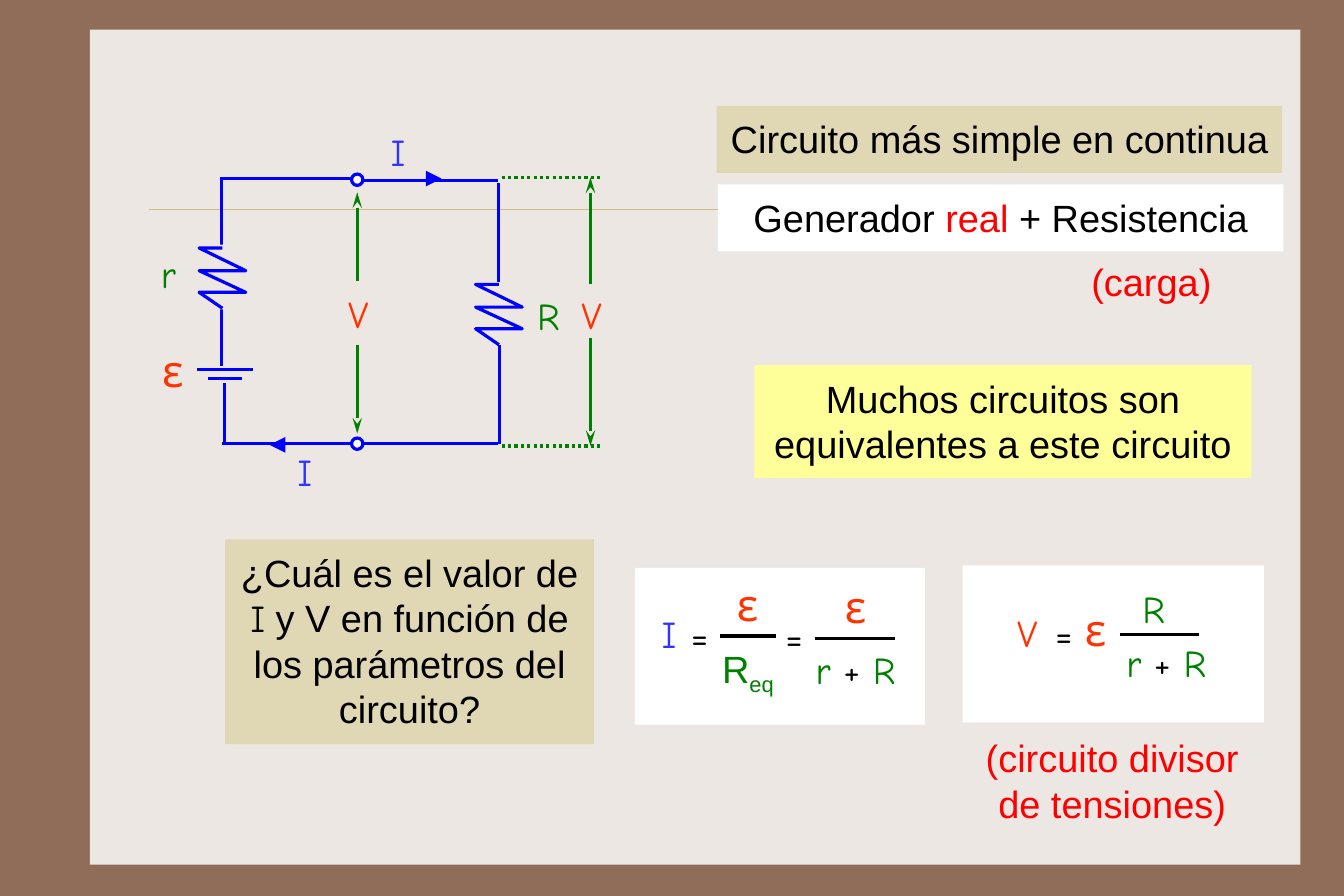
from dataclasses import dataclass

from pptx import Presentation
from pptx.dml.color import RGBColor
from pptx.enum.dml import MSO_LINE
from pptx.enum.shapes import MSO_CONNECTOR, MSO_SHAPE
from pptx.enum.text import MSO_ANCHOR, PP_ALIGN
from pptx.oxml.ns import qn
from pptx.util import Inches, Pt
from lxml.etree import SubElement


@dataclass(frozen=True)
class Theme:
    frame: str = "906D58"
    panel: str = "EDE7E3"
    rule: str = "CBBD83"
    sand: str = "E0D7B5"
    yellow: str = "FFFF99"
    white: str = "FFFFFF"
    black: str = "000000"
    red: str = "FF0000"
    orange: str = "FF3300"
    green: str = "008000"
    wire: str = "0000FF"
    current: str = "3333FF"
    body_font: str = "Arial"
    symbol_font: str = "Comic Neue"
    text_size: int = 24
    epsilon_size: int = 28
    line_width: int = 2


THEME = Theme()
SLIDE_SIZE = Pt(850.5), Pt(567)

# Circuit grid: columns and rows in inches
SOURCE, TERMINAL, LOAD, GAUGE = 1.95, 3.14, 4.38, 5.19
TOP, BOTTOM = 1.58, 3.9
DOT = 0.1
WIRES = [
    (SOURCE, 1.57, TERMINAL, 1.57), (TERMINAL, 1.59, LOAD, 1.59),
    (SOURCE, BOTTOM, TERMINAL, BOTTOM), (TERMINAL, BOTTOM, LOAD, BOTTOM),
    (LOAD, 1.61, LOAD, 2.48), (4.39, 3.03, 4.39, BOTTOM),
    (SOURCE, 1.56, SOURCE, 3.22), (1.97, 3.37, 1.97, BOTTOM),
    (1.73, 3.25, 2.22, 3.25), (1.83, 3.33, 2.13, 3.33),
]
CURRENT_ARROWS = [(3.78, 1.57, 3.88, 1.57), (2.42, 3.91, 2.37, 3.91)]
GUIDES = [(4.41, y, 5.27, y) for y in (1.56, 3.92)]
VOLTAGE_ARROWS = [
    (GAUGE, 2.5, GAUGE, 1.56), (GAUGE, 2.97, GAUGE, 3.92),
    (TERMINAL, 2.47, TERMINAL, 1.69), (TERMINAL, 3.03, TERMINAL, 3.81),
]
FRACTION_BARS = [(6.33, 5.59, 6.82, 5.59), (7.16, 5.61, 7.87, 5.61),
                 (9.84, 5.58, 10.54, 5.58)]
FORMULA_CARDS = [(5.58, 4.99, 2.55, 1.38), (8.46, 4.97, 2.65, 1.38)]

# Symbol runs as (text, colour)
I = [("I", THEME.current)]
V = [("V", THEME.orange)]
R = [("R", THEME.green)]
EPSILON = [("ε", THEME.orange)]
EQUALS = [("=", THEME.black)]
SUM = [("r ", THEME.green), ("+ ", THEME.black), ("R", THEME.green)]

# Symbols as (runs, centre, top)
SYMBOLS = [
    (I, 3.5, 1.09), (I, 2.68, 3.9), (V, 5.2, 2.52), (V, 3.15, 2.51),
    (R, 4.82, 2.53), (EPSILON, 1.52, 2.98), ([("r", THEME.green)], 1.48, 2.16),
    (I, 5.88, 5.33), (EQUALS, 6.15, 5.34), (EPSILON, 6.57, 5.03),
    (EQUALS, 6.98, 5.35), (EPSILON, 7.52, 5.05), (SUM, 7.52, 5.64),
    (V, 9.03, 5.32), (EQUALS, 9.35, 5.33), (EPSILON, 9.63, 5.25),
    (R, 10.14, 5.11), (SUM, 10.25, 5.58),
]

# Text blocks as (left, top, width, height), fill, runs
BLOCKS = [
    ((6.3, 0.93, 4.97, 0.59), THEME.sand,
     [("Circuito más simple en continua", THEME.black)]),
    ((6.31, 1.62, 4.97, 0.59), THEME.white,
     [("Generador ", THEME.black), ("real ", THEME.red),
      ("+ Resistencia", THEME.black)]),
    ((9.12, 2.18, 2, 0.59), None, [("(carga)", THEME.red)]),
    ((6.63, 3.21, 4.37, 0.99), THEME.yellow,
     [("Muchos circuitos son equivalentes a este circuito", THEME.black)]),
    ((1.98, 4.74, 3.24, 1.8), THEME.sand,
     [("¿Cuál es el valor de ", THEME.black),
      ("I", THEME.black, THEME.symbol_font),
      (" y V en función de los parámetros del circuito?", THEME.black)]),
    ((8.45, 6.37, 2.65, 0.98), None,
     [("(circuito divisor de tensiones)", THEME.red)]),
]
EQUIVALENT_AREA = (6.03, 5.58, 0.87, 0.59)


def rgb(value):
    return RGBColor.from_string(value)


def add_filled(slide, area, fill, line=None, kind=MSO_SHAPE.RECTANGLE):
    shape = slide.shapes.add_shape(kind, *map(Inches, area))
    shape.shadow.inherit = False
    shape.fill.solid()
    shape.fill.fore_color.rgb = rgb(fill)
    if line:
        shape.line.color.rgb = rgb(line)
        shape.line.width = Pt(THEME.line_width)
    else:
        shape.line.fill.background()
    return shape


def add_line(slide, ends, color, width=THEME.line_width, dash=None, head=None):
    """Draw a line; head is (type, width, length) of its end arrow."""
    line = slide.shapes.add_connector(MSO_CONNECTOR.STRAIGHT, *map(Inches, ends))
    line.line.color.rgb = rgb(color)
    line.line.width = Pt(width)
    if dash:
        line.line.dash_style = dash
    properties = line._element.spPr
    if head:
        SubElement(properties.find(qn("a:ln")), qn("a:tailEnd"),
                   dict(zip(("type", "w", "len"), head)))
    SubElement(properties, qn("a:effectLst"))


def add_resistor(slide, left, top):
    width, height = 0.41, 0.53
    middle, right = left + width / 2, left + width
    zigzag = [(left, top + 0.39), (right, top + 0.39), (left, top + 0.2),
              (right, top + 0.2), (left, top), (middle, top)]
    builder = slide.shapes.build_freeform(
        Inches(middle), Inches(top + height), scale=1.0)
    builder.add_line_segments(
        [(Inches(x), Inches(y)) for x, y in zigzag], close=False)
    shape = builder.convert_to_shape()
    shape.shadow.inherit = False
    shape.fill.background()
    shape.line.color.rgb = rgb(THEME.wire)
    shape.line.width = Pt(THEME.line_width)


def write(shape, runs, font, size, margins, wrap, align=PP_ALIGN.CENTER):
    frame = shape.text_frame
    frame.word_wrap = wrap
    frame.vertical_anchor = MSO_ANCHOR.TOP
    frame.margin_left = frame.margin_right = Inches(margins[0])
    frame.margin_top = frame.margin_bottom = Inches(margins[1])
    para = frame.paragraphs[0]
    para.alignment = align
    for text, color, *special_font in runs:
        span = para.add_run()
        span.text = text
        span.font.name = special_font[0] if special_font else font
        span.font.size = Pt(size)
        span.font.color.rgb = rgb(color)
    return para


def add_symbol(slide, runs, center, top):
    size = THEME.epsilon_size if runs is EPSILON else THEME.text_size
    width, height = (0.9 if runs is SUM else 0.4), size / 60 + 0.06
    box = slide.shapes.add_textbox(
        *map(Inches, (center - width / 2, top, width, height)))
    write(box, runs, THEME.symbol_font, size, (0.08, 0.04), False)


def add_block(slide, area, fill, runs, align=PP_ALIGN.CENTER):
    box = (add_filled(slide, area, fill) if fill
           else slide.shapes.add_textbox(*map(Inches, area)))
    return write(box, runs, THEME.body_font, THEME.text_size, (0.1, 0.09), True, align)


def draw_circuit(slide):
    for ends in WIRES:
        add_line(slide, ends, THEME.wire)
    for ends in CURRENT_ARROWS:
        add_line(slide, ends, THEME.wire, 1, head=("triangle", "lg", "lg"))
    for ends in GUIDES:
        add_line(slide, ends, THEME.green, dash=MSO_LINE.ROUND_DOT)
    for ends in VOLTAGE_ARROWS:
        add_line(slide, ends, THEME.green, head=("stealth", "med", "lg"))
    for y in (TOP, BOTTOM):
        add_filled(slide, (TERMINAL - DOT / 2, y - DOT / 2, DOT, DOT),
                   THEME.white, THEME.wire, MSO_SHAPE.OVAL)
    add_filled(slide, (1.67, 2.15, 0.53, 0.57), THEME.panel)
    add_resistor(slide, 1.75, 2.18)
    add_resistor(slide, 4.18, 2.5)


def main():
    deck = Presentation()
    deck.slide_width, deck.slide_height = SLIDE_SIZE
    slide = deck.slides.add_slide(deck.slide_layouts[6])
    slide.background.fill.solid()
    slide.background.fill.fore_color.rgb = rgb(THEME.frame)
    add_filled(slide, (0.79, 0.26, 10.64, 7.34), THEME.panel)
    add_line(slide, (1.31, 1.84, 11.22, 1.84), THEME.rule, 0.25)
    draw_circuit(slide)
    for area in FORMULA_CARDS:
        add_filled(slide, area, THEME.white)
    for ends in FRACTION_BARS:
        add_line(slide, ends, THEME.black)
    for block in BLOCKS:
        add_block(slide, *block)
    para = add_block(slide, EQUIVALENT_AREA, None,
                     R + [("eq", THEME.green)], PP_ALIGN.RIGHT)
    para.runs[1].font._element.set("baseline", "-25000")
    for symbol in SYMBOLS:
        add_symbol(slide, *symbol)
    deck.save("out.pptx")


if __name__ == "__main__":
    main()
